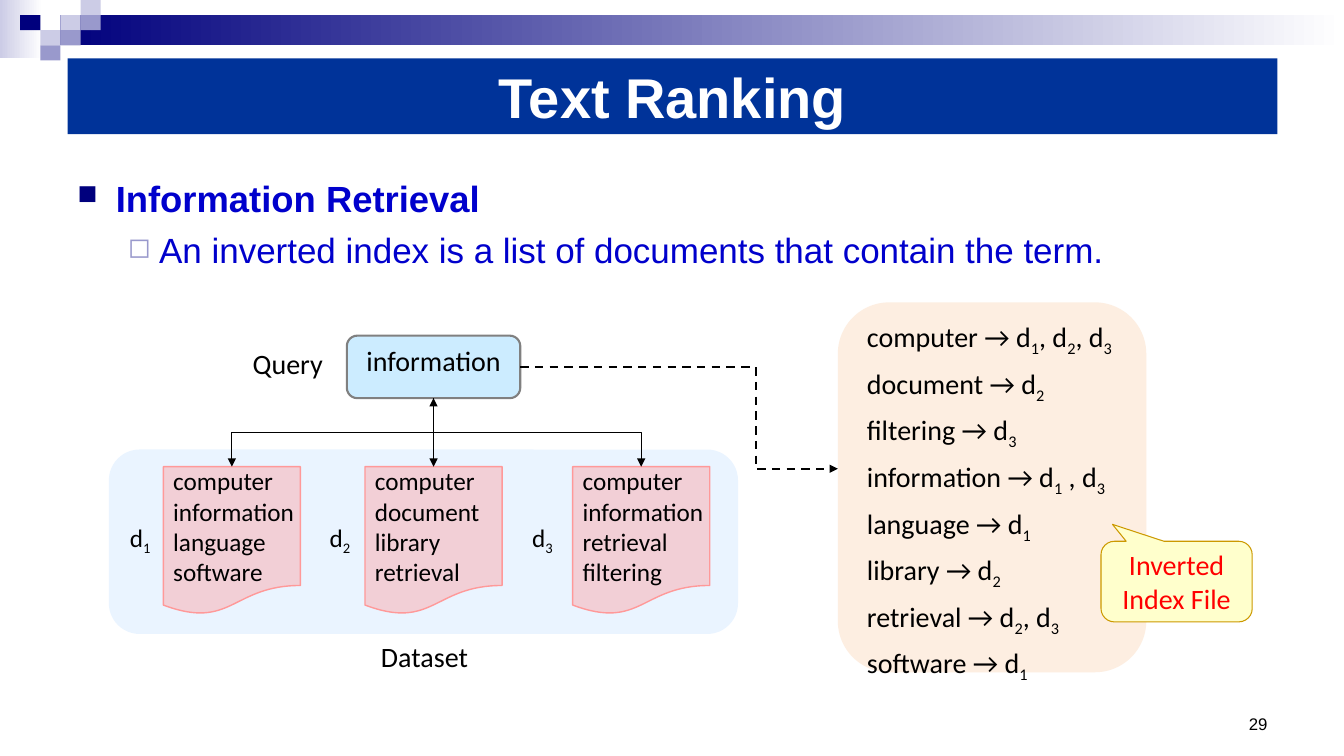
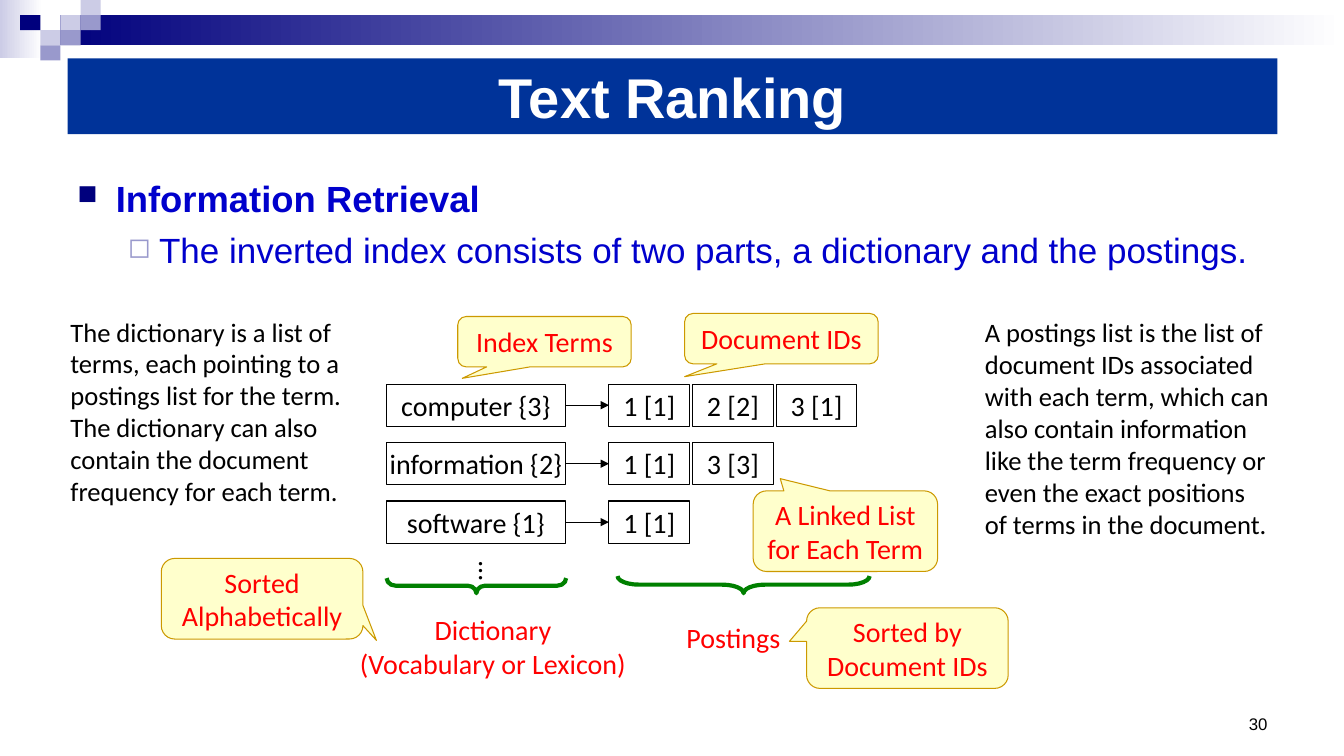
from lxml.etree import SubElement
from pptx import Presentation
from pptx.dml.color import RGBColor
from pptx.enum.dml import MSO_LINE
from pptx.enum.shapes import MSO_CONNECTOR, MSO_SHAPE
from pptx.enum.text import MSO_ANCHOR, PP_ALIGN
from pptx.oxml.ns import qn
from pptx.util import Pt

SCALE = 9144  # EMU per px, 100 px to the inch
INK = {
    "black": "000000", "white": "FFFFFF", "red": "FF0000", "blue": "0000CC",
    "band": "003399", "navy": "00007D", "mid": "9999CC", "pale": "CCCCE6",
    "peach": "FDEADA", "sky": "99CCFF", "ice": "CCECFF", "gray": "808080",
    "rose": "FF9999", "cream": "FFFFCC", "gold": "CC9900", "green": "008000",
}
LEFT, MID, RIGHT = PP_ALIGN.LEFT, PP_ALIGN.CENTER, PP_ALIGN.RIGHT
TOP, CENTER, BOTTOM = MSO_ANCHOR.TOP, MSO_ANCHOR.MIDDLE, MSO_ANCHOR.BOTTOM


def px(*sizes):
    return [int(size * SCALE) for size in sizes]


def tint(name):
    return RGBColor.from_string(INK[name])


def add_run(para, text, size, color, font="Calibri", bold=False):
    run = para.add_run()
    run.text = text
    run.font.size = Pt(size)
    run.font.name = font
    run.font.bold = bold
    run.font.color.rgb = tint(color)
    return run


def add_runs(para, text, *style):
    """Add text in which each underscore lowers the next character."""
    for i, part in enumerate(text.split("_")):
        low = 1 if i else 0
        if low:
            run = add_run(para, part[:1], *style)
            run._r.get_or_add_rPr().set("baseline", "-25000")
        if part[low:]:
            add_run(para, part[low:], *style)


def write(shape, lines, size=20, color="black", align=MID, anchor=CENTER,
          wrap=True, font="Calibri", bold=False, gap=0):
    frame = shape.text_frame
    frame.word_wrap = wrap
    frame.vertical_anchor = anchor
    for i, line in enumerate(lines):
        para = frame.add_paragraph() if i else frame.paragraphs[0]
        para.alignment = align
        para.space_before = Pt(gap)
        add_runs(para, line, size, color, font, bold)


def add_text(slide, at, lines, **style):
    box = slide.shapes.add_textbox(*px(*at))
    write(box, lines, **{"anchor": TOP, **style})
    return box


def add_box(slide, kind, at, fill=None, line=None, width=0.75, alpha=100,
            adj=()):
    shape = slide.shapes.add_shape(kind, *px(*at))
    shape.shadow.inherit = False
    if fill:
        shape.fill.solid()
        shape.fill.fore_color.rgb = tint(fill)
        if alpha < 100:
            color = shape.element.spPr.find(".//" + qn("a:srgbClr"))
            SubElement(color, qn("a:alpha")).set("val", str(alpha * 1000))
    else:
        shape.fill.background()
    if line:
        shape.line.color.rgb = tint(line)
        shape.line.width = Pt(width)
    else:
        shape.line.fill.background()
    for i, value in enumerate(adj):
        shape.adjustments[i] = value
    return shape


def add_fade(slide, at, color):
    shape = add_box(slide, MSO_SHAPE.RECTANGLE, at)
    shape.fill.gradient()
    shape.fill.gradient_angle = 0
    for stop, name in zip(shape.fill.gradient_stops, (color, "white")):
        stop.color.rgb = tint(name)


def add_callout(slide, at, text, tip):
    shape = add_box(slide, MSO_SHAPE.ROUNDED_RECTANGULAR_CALLOUT, at,
                    "cream", "gold", adj=(*tip, 0.167))
    write(shape, [text], color="red")


def add_brace(slide, at, curve):
    shape = add_box(slide, MSO_SHAPE.LEFT_BRACE, at, None, "green", 3,
                    adj=(curve, 0.5))
    shape.rotation = 270


def add_wire(slide, kind, ends, tips=("tailEnd",), width=0.75, dash=None):
    wire = slide.shapes.add_connector(kind, *px(*ends))
    wire.line.color.rgb = tint("black")
    wire.line.width = Pt(width)
    if dash:
        wire.line.dash_style = dash
    props = wire.element.spPr
    for tip in tips:
        end = SubElement(props.find(qn("a:ln")), qn("a:" + tip))
        end.set("type", "triangle")
    SubElement(props, qn("a:effectLst"))
    return wire


def add_fork(slide, x, y, endx, endy, tips):
    """Add an elbow that leaves downwards, by turning a sideways one."""
    midx, midy = (x + endx) / 2, (y + endy) / 2
    side = 1 if endx < x else -1
    dx, dy = side * (endy - y) / 2, abs(endx - x) / 2
    wire = add_wire(slide, MSO_CONNECTOR.ELBOW,
                    (midx - dx, midy - dy, midx + dx, midy + dy), tips)
    turn = 90 if side == 1 else 270
    wire.element.spPr.find(qn("a:xfrm")).set("rot", str(turn * 60000))


def add_bullet(para, mark, color, size, left, hang):
    props = para._p.get_or_add_pPr()
    props.set("marL", str(left * SCALE))
    props.set("indent", str(-hang * SCALE))
    shade = SubElement(props, qn("a:buClr"))
    SubElement(shade, qn("a:srgbClr")).set("val", INK[color])
    SubElement(props, qn("a:buSzPct")).set("val", str(size * 1000))
    SubElement(props, qn("a:buChar")).set("char", mark)


def add_frame(deck, number, point):
    """Add a slide with the parts that all slides share."""
    slide = deck.slides.add_slide(deck.slide_layouts[6])
    add_fade(slide, (0, 0, 42, 58), "pale")
    add_fade(slide, (60, 15, 1273, 30), "navy")
    for x, y, color in ((60, 15, "pale"), (80, 0, "pale"), (80, 15, "mid"),
                        (40, 30, "pale"), (20, 15, "navy"), (60, 30, "mid"),
                        (40, 45, "mid")):
        add_box(slide, MSO_SHAPE.RECTANGLE, (x, y, 20, 15), color)

    body = slide.shapes.add_textbox(*px(67, 170, 1200, 533)).text_frame
    body.word_wrap = True
    head, item = body.paragraphs[0], body.add_paragraph()
    item.level = 1
    for para in (head, item):
        para.space_before = Pt(6)
    add_bullet(head, "■", "navy", 75, 38, 38)
    add_bullet(item, "◻", "mid", 80, 81, 31)
    add_run(head, "Information Retrieval", 26, "blue", "Arial", True)
    add_run(item, point, 25, "blue", "Arial")

    title = add_box(slide, MSO_SHAPE.RECTANGLE, (67, 58, 1200, 75), "band")
    write(title, ["Text Ranking"], 40, "white", font="Arial", bold=True)
    add_text(slide, (1111, 683, 156, 50), [str(number)], size=12,
             align=RIGHT, anchor=BOTTOM, font="Arial")
    return slide


def draw_search(deck):
    slide = add_frame(deck, 29, "An inverted index is a list of documents "
                      "that contain the term.")
    add_box(slide, MSO_SHAPE.ROUNDED_RECTANGLE, (831, 300, 306, 367),
            "peach", alpha=80)
    add_text(slide, (850, 312, 287, 338), [
        "computer → d_1, d_2, d_3", "document → d_2", "filtering → d_3",
        "information → d_1 , d_3", "language → d_1", "library → d_2",
        "retrieval → d_2, d_3", "software → d_1"], align=LEFT, gap=6)
    add_callout(slide, (1092, 537, 150, 80), "Inverted Index File",
                (-0.424, -0.71))

    add_text(slide, (359, 630, 124, 44), ["Dataset"])
    add_box(slide, MSO_SHAPE.ROUNDED_RECTANGLE, (108, 446, 624, 183),
            "sky", alpha=20)
    docs = []
    for name, tag, x, words in (
            ("d_1", 119, 162, "computer information language software"),
            ("d_2", 317, 362, "computer document library retrieval"),
            ("d_3", 518, 568, "computer information retrieval filtering")):
        add_text(slide, (tag, 513, 55, 40), [name], size=18, align=LEFT)
        doc = add_box(slide, MSO_SHAPE.FLOWCHART_DOCUMENT,
                      (x, 463, 136, 147), "rose", "rose", 1, 40)
        write(doc, words.split(), 18, align=LEFT, wrap=False)
        docs.append(doc)

    query = add_box(slide, MSO_SHAPE.ROUNDED_RECTANGLE, (344, 333, 172, 62),
                    "ice", "gray", 1.5)
    write(query, ["information"], anchor=TOP, wrap=False)
    add_text(slide, (188, 339, 195, 44), ["Query"])

    route = add_wire(slide, MSO_CONNECTOR.ELBOW, (516, 364, 831, 465),
                     width=1.5, dash=MSO_LINE.DASH)
    bend = SubElement(route.element.spPr.find(".//" + qn("a:avLst")),
                      qn("a:gd"))
    bend.set("name", "adj1")
    bend.set("fmla", "val 74100")
    add_fork(slide, 430, 395, 230, 463, ("tailEnd",))
    add_fork(slide, 430, 395, 636, 463, ("headEnd", "tailEnd"))
    stem = add_wire(slide, MSO_CONNECTOR.STRAIGHT, (430, 463, 430, 429),
                    ("headEnd",))
    stem.begin_connect(docs[1], 0)


def add_cell(slide, x, y, width, text):
    cell = add_box(slide, MSO_SHAPE.RECTANGLE, (x, y, width, 42),
                   line="black")
    write(cell, [text], wrap=False)
    return cell


def draw_index(deck):
    slide = add_frame(deck, 30, "The inverted index consists of two parts, "
                      "a dictionary and the postings.")
    for at, text, tip in (
            ((160, 554, 200, 80), "Sorted Alphabetically", (0.567, 0.517)),
            ((800, 603, 200, 80), "Sorted by Document IDs",
             (-0.585, -0.084)),
            ((747, 487, 183, 80), "A Linked List for Each Term",
             (-0.353, -0.652)),
            ((679, 311, 192, 50), "Document IDs", (-0.5, 0.755)),
            ((454, 314, 172, 50), "Index Terms", (-0.474, 0.727))):
        add_callout(slide, at, text, tip)

    for row, (term, *posts) in enumerate((
            ("computer {3}", "1 [1]", "2 [2]", "3 [1]"),
            ("information {2}", "1 [1]", "3 [3]"),
            ("software {1}", "1 [1]"))):
        y = 381 + 58 * row
        start = add_cell(slide, 383, y, 178, term)
        cells = [add_cell(slide, 604 + 83 * i, y, 80, post)
                 for i, post in enumerate(posts)]
        wire = add_wire(slide, MSO_CONNECTOR.STRAIGHT,
                        (561, y + 21, 604, y + 21))
        wire.begin_connect(start, 3)
        wire.end_connect(cells[0], 1)

    dots = add_text(slide, (454, 547, 54, 42), ["…"], align=LEFT)
    dots.text_frame._txBody.bodyPr.set("vert", "eaVert")
    add_brace(slide, (465, 492, 15, 178), 0.583)
    add_brace(slide, (729, 455, 17, 250), 1.25)
    add_text(slide, (346, 603, 286, 77),
             ["Dictionary", "(Vocabulary or Lexicon)"], color="red",
             wrap=False)
    add_text(slide, (671, 611, 115, 44), ["Postings"], color="red",
             align=LEFT, wrap=False)
    add_text(slide, (60, 308, 299, 202), [
        "The dictionary is a list of terms, each pointing to a postings "
        "list for the term. The dictionary can also contain the document "
        "frequency for each term."], size=19, align=LEFT)
    add_text(slide, (967, 309, 305, 234), [
        "A postings list is the list of document IDs associated with each "
        "term, which can also contain information like the term frequency "
        "or even the exact positions of terms in the document."],
        size=19, align=LEFT)


def main():
    deck = Presentation()
    deck.slide_width, deck.slide_height = px(1333, 750)
    draw_search(deck)
    draw_index(deck)
    deck.save("out.pptx")


if __name__ == "__main__":
    main()
